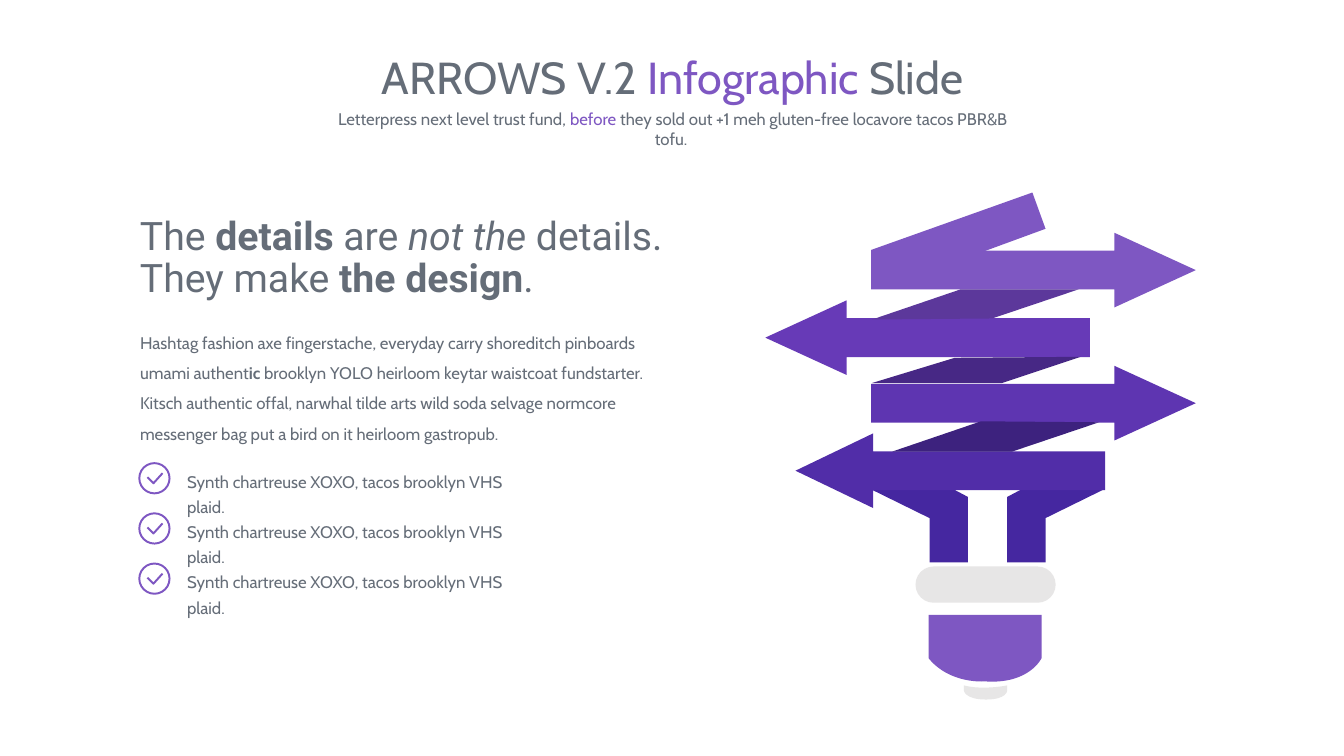
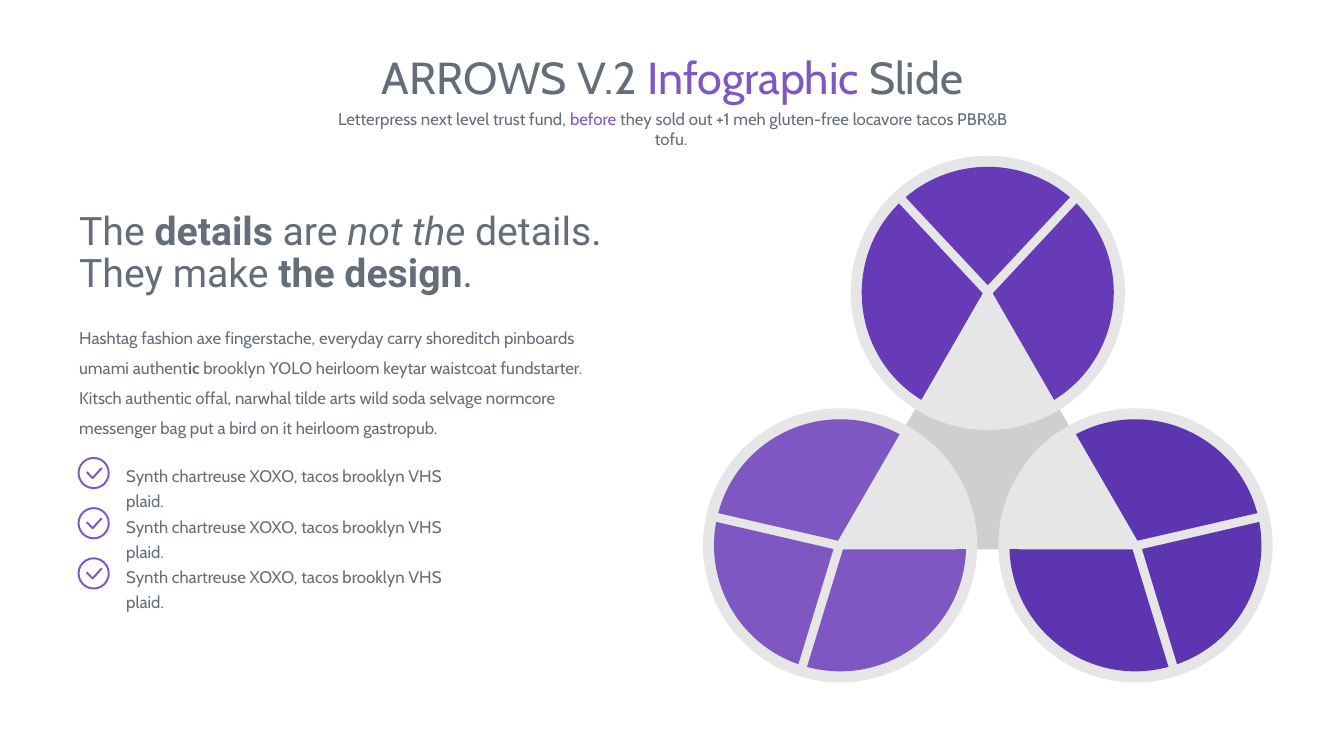
from math import cos, sin, tan, radians
from lxml.etree import SubElement
from pptx import Presentation
from pptx.dml.color import RGBColor as Rgb
from pptx.enum.shapes import MSO_SHAPE as Kind
from pptx.enum.text import MSO_ANCHOR as Anchor, MSO_AUTO_SIZE as Fit, PP_ALIGN as Align
from pptx.oxml.ns import qn
from pptx.util import Inches, Pt

WIDE, HIGH = Inches(13.33), Inches(7.5)
CELL = HIGH / 75
HUE = {
    "ink": "656D78", "lilac": "7E57C2", "violet": "673AB7", "purple": "5E35B1",
    "indigo": "512DA8", "leg": "4527A0", "fold1": "5C389B", "fold2": "472885",
    "fold3": "3D227E", "pale": "E7E6E6", "grey": "D0CECE", "white": "FFFFFF",
}
BOLD, SLANT, TINT = {"bold": True}, {"italic": True}, {"hue": "lilac"}
TITLE = [("ARROWS V.2 ", {}), ("Infographic ", TINT), ("Slide", {})]
LEAD = [("Letterpress next level trust fund, ", {}), ("before", TINT),
        (" they sold out +1 meh gluten-free locavore tacos PBR&B tofu. ", {})]
HEAD = [("The ", {}), ("details", BOLD), (" are ", {}), ("not the ", SLANT),
        ("details. They make ", {}), ("the design", BOLD), (".", {})]
STORY = [("Hashtag fashion axe fingerstache, everyday carry shoreditch pinboards "
          "umami authent", {}), ("ic ", BOLD),
         ("brooklyn YOLO heirloom keytar waistcoat fundstarter. Kitsch authentic "
          "offal, narwhal tilde arts wild soda selvage normcore messenger bag put "
          "a bird on it heirloom gastropub.", {})]
ITEM = [("Synth chartreuse XOXO, tacos brooklyn VHS plaid.", {})]


def color(name):
    return Rgb.from_string(HUE[name])


def place(base, x, y, w, h):
    return [round(v * CELL) for v in (base[0] + x, base[1] + y, w, h)]


def text(shape, paras, size=12, font="Cabin", align=Align.LEFT, gap=1.0):
    frame = shape.text_frame
    frame.word_wrap = True
    frame.auto_size = Fit.NONE
    frame.vertical_anchor = Anchor.TOP
    for n, runs in enumerate(paras):
        para = frame.add_paragraph() if n else frame.paragraphs[0]
        props = para._p.get_or_add_pPr()
        props.set("marL", "0")
        props.set("indent", "0")
        SubElement(props, qn("a:buNone"))
        para.alignment = align
        para.line_spacing = gap
        para.space_before = Pt(0)
        for words, style in runs:
            run = para.add_run()
            run.text = words
            face = run.font
            face.name, face.size = font, Pt(size)
            face.bold = style.get("bold", False)
            face.italic = style.get("italic", False)
            face.color.rgb = color(style.get("hue", "ink"))


def label(slide, spot, runs, **look):
    text(slide.shapes.add_textbox(*spot), [runs], **look)


def move(shape, spot):
    shape.left, shape.top, shape.width, shape.height = spot


def paint(shape, fill, line=None):
    shape.shadow.inherit = False
    if fill:
        shape.fill.solid()
        shape.fill.fore_color.rgb = color(fill)
    else:
        shape.fill.background()
    if line:
        shape.line.color.rgb = color(line)
        shape.line.width = Pt(1.38)
    else:
        shape.line.fill.background()


def preset(slide, kind, spot, fill, line=None, adjust=()):
    shape = slide.shapes.add_shape(kind, *spot)
    for n, value in enumerate(adjust):
        shape.adjustments[n] = value
    paint(shape, fill, line)


def outline(slide, base, points, fill, line=None, close=True, bends=()):
    dots = [place(base, x, y, 0, 0)[:2] for x, y in points]
    pen = slide.shapes.build_freeform(*dots[0])
    pen.add_line_segments(dots[1:], close=close)
    shape = pen.convert_to_shape()
    steps = list(shape._element.iter(qn("a:lnTo")))
    for n in bends:
        curve, *rest = steps[n - 1:n + 2]
        curve.tag = qn("a:cubicBezTo")
        for step in rest:
            curve.append(step[0])
            step.getparent().remove(step)
    paint(shape, fill, line)


def arc(start, end, radius):
    a, b = radians(start), radians(end)
    k = 4 / 3 * tan((b - a) / 4)
    shares = [(cos(a), sin(a)), (cos(a) - k * sin(a), sin(a) + k * cos(a)),
              (cos(b) + k * sin(b), sin(b) - k * cos(b)), (cos(b), sin(b))]
    return [(radius * x, radius * y) for x, y in shares]


def banner(slide):
    title = slide.shapes.title
    move(title, place((0, 0), 25.4, 4.4, 82.6, 6.4))
    text(title, [TITLE], size=32, align=Align.CENTER)
    label(slide, place((0, 0), 32, 10.3, 69.5, 3), LEAD, align=Align.CENTER)


def column(slide, base):
    label(slide, place(base, 0, 0, 54.6, 9.5), HEAD, size=28, font="Roboto", gap=0.9)
    label(slide, place(base, 0, 10.5, 53.2, 13.1), STORY, gap=1.5)
    body = slide.placeholders[1]
    move(body, place(base, 4.65, 24.75, 35.5, 16))
    text(body, [ITEM] * 3, gap=1.25)
    for n in range(3):
        spot = base[0] + 0.92, base[1] + 24.95 + 4.98 * n
        preset(slide, Kind.OVAL, place(spot, 0, 0, 3, 3), "white", "lilac")
        outline(slide, spot, [(0.8, 1.4), (1.4, 2), (2.3, 1)], None, "lilac", False)


def bulb(slide, base):
    leg = [(33.7, 29.4), (27.8, 32.3), (27.8, 36.7), (24, 36.7), (24, 30.2), (25.7, 29.3)]
    for points in (leg, [(44.1 - x, y) for x, y in leg]):
        outline(slide, base, points, "leg")
    right, left = Kind.RIGHT_ARROW, Kind.LEFT_ARROW
    arrows = [(right, 10.5, 4, 32.2, "lilac"), (left, 0, 10.7, 32.2, "violet"),
              (right, 10.5, 17.2, 32.2, "purple"), (left, 3, 23.9, 30.7, "indigo")]
    for kind, x, y, wide, fill in arrows:
        preset(slide, kind, place(base, x, y, wide, 7.4), fill,
               adjust=[0.52, 1.09 if wide > 31 else 1.04])
    folds = [
        ([(26.5, 0), (27.8, 3.6), (21.8, 5.8), (10.5, 5.8), (10.5, 5.7)], "lilac"),
        ([(31.1, 9.6), (22.5, 12.5), (10.6, 12.6), (19.4, 9.6)], "fold1"),
        ([(31.3, 16.3), (23.5, 18.9), (10.6, 18.9), (18.8, 16.4)], "fold2"),
        ([(12.6, 25.7), (21.4, 22.7), (33.1, 22.8), (24.5, 25.7)], "fold3"),
    ]
    for points, fill in folds:
        outline(slide, base, points, fill)
    preset(slide, Kind.ROUNDED_RECTANGLE, place(base, 14.9, 37.1, 13.9, 3.6), "pale",
           adjust=[0.5])
    cap = [(27.4, 46.2), (27.4, 46.2), (26.2, 48.8), (21.8, 48.5),
           (21.8, 48.5), (18.3, 48.8), (16.2, 46.2), (16.2, 41.9), (27.4, 41.9)]
    tip = [(24, 49.4), (24, 49.4), (24, 50.3), (21.9, 50.3),
           (19.8, 50.3), (19.7, 49.4), (19.7, 49.4), (19.7, 48.9),
           (21.6, 49.4), (24, 48.9), (24, 48.9)]
    outline(slide, base, cap, "lilac", bends=[1, 4])
    outline(slide, base, tip, "pale", bends=[1, 4, 8])


def wheel(slide, hub, fill, turn):
    wedges = [((0.5, 0.05), -45.2, 58.2), ((0, -0.75), -130.7, -49.3),
              ((-0.5, 0.05), 121.8, 225.2)]
    c, s = cos(radians(turn)), sin(radians(turn))
    for apex, start, end in wedges:
        points = [*arc(start, end, 12.5), apex]
        outline(slide, hub, [(x * c - y * s, x * s + y * c) for x, y in points], fill,
                bends=[1])


def trio(slide, base):
    preset(slide, Kind.ISOSCELES_TRIANGLE, place(base, 13, 12.9, 30.5, 26.2), "grey")
    wheels = [((base[0] + x, base[1] + y), fill, turn) for x, y, fill, turn in [
        (28.3, 13.65, "violet", 0), (13.65, 38.7, "lilac", -120),
        (42.95, 38.7, "purple", 120)]]
    for hub, fill, turn in wheels:
        preset(slide, Kind.OVAL, place(hub, -13.6, -13.6, 27.2, 27.2), "pale")
    for hub, fill, turn in wheels:
        wheel(slide, hub, fill, turn)


def main():
    deck = Presentation()
    deck.slide_width, deck.slide_height = WIDE, HIGH
    for draw, art, words in [(bulb, (75.9, 19.1), (12.9, 21)),
                             (trio, (69.67, 15.4), (6.87, 20.48))]:
        slide = deck.slides.add_slide(deck.slide_layouts[1])
        banner(slide)
        draw(slide, art)
        column(slide, words)
    deck.save("out.pptx")


if __name__ == "__main__":
    main()
